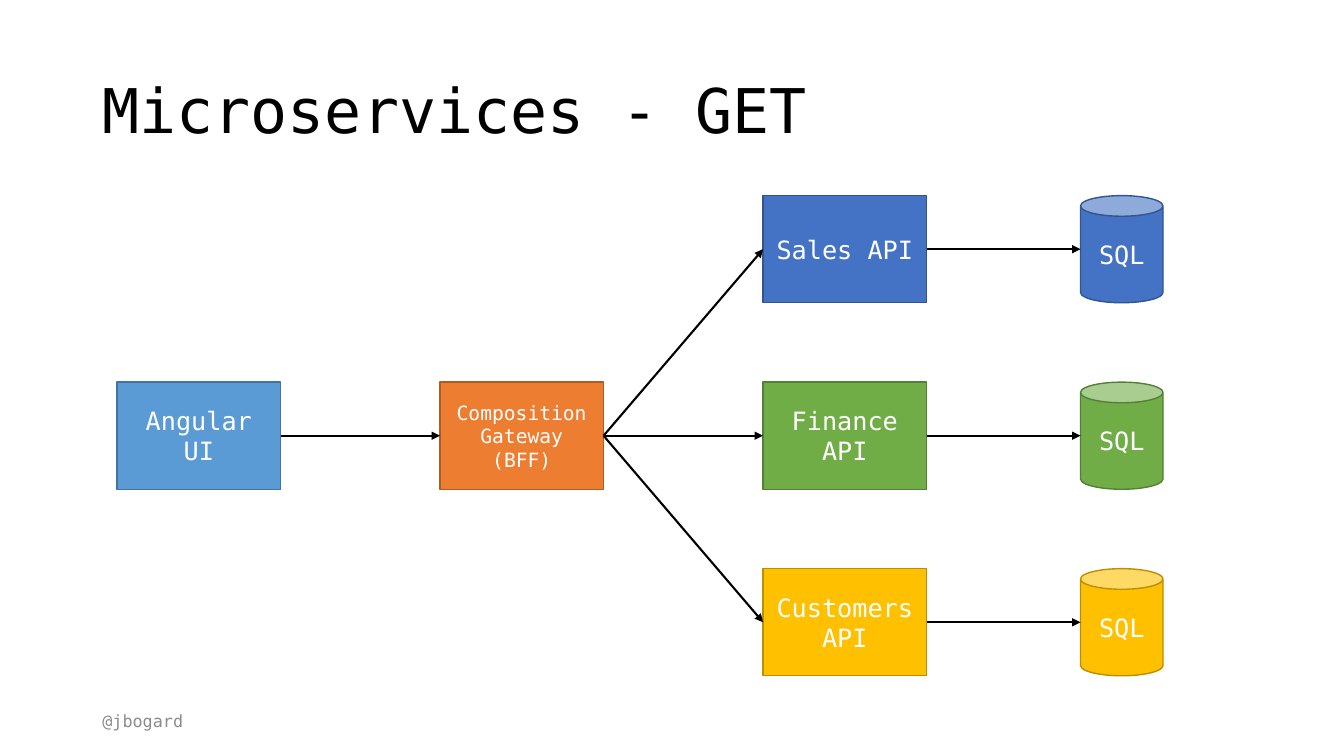
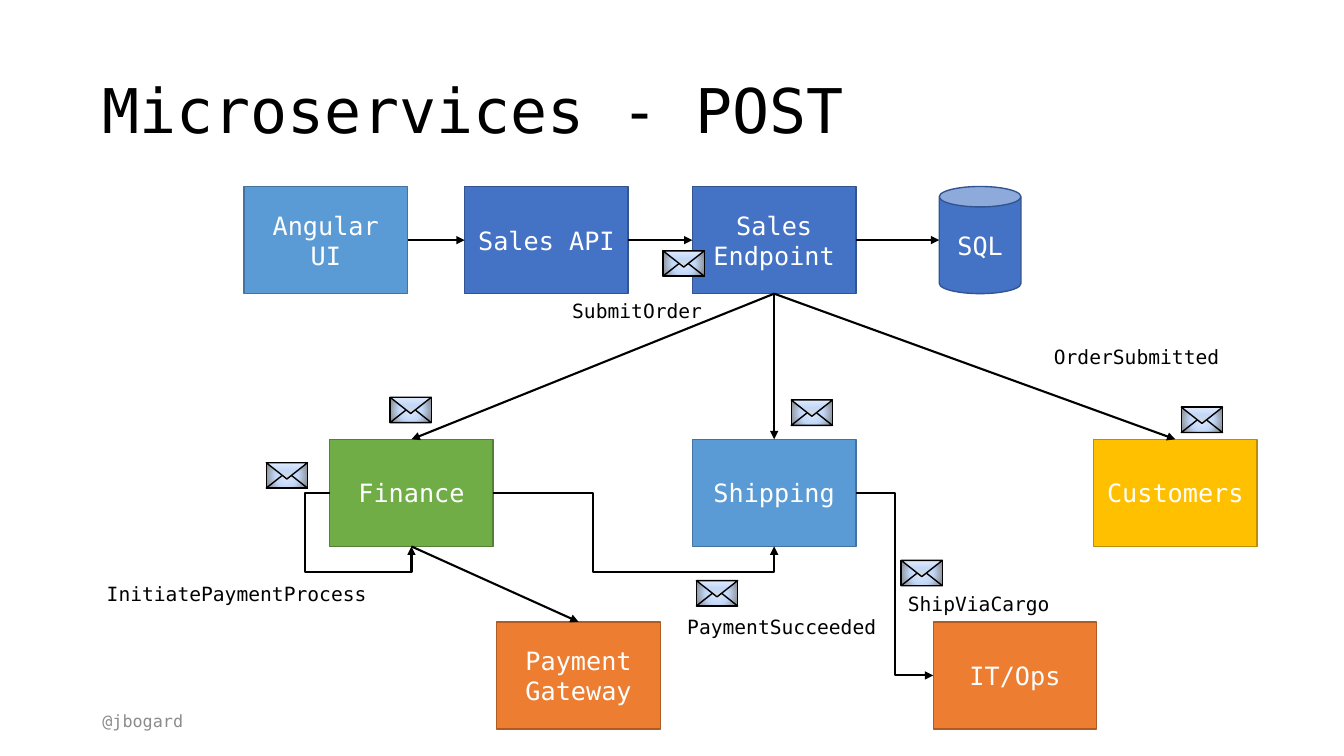
from lxml import etree
from pptx import Presentation
from pptx.dml.color import RGBColor
from pptx.enum import shapes, text
from pptx.oxml import parse_xml
from pptx.oxml.ns import nsdecls, qn
from pptx.util import Cm, Pt

FONT = "DejaVu Sans Mono"
BLACK = RGBColor(0x00, 0x00, 0x00)
WHITE = RGBColor(0xFF, 0xFF, 0xFF)
GREY = RGBColor(0x8C, 0x8C, 0x8C)
SKY = RGBColor(0x5B, 0x9B, 0xD5), RGBColor(0x43, 0x73, 0x9E)
BLUE = RGBColor(0x44, 0x72, 0xC4), RGBColor(0x32, 0x54, 0x91)
GREEN = RGBColor(0x70, 0xAD, 0x47), RGBColor(0x53, 0x80, 0x35)
GOLD = RGBColor(0xFF, 0xC0, 0x00), RGBColor(0xBD, 0x8E, 0x00)
RUST = RGBColor(0xED, 0x7D, 0x31), RGBColor(0xAF, 0x5C, 0x24)

RECT = shapes.MSO_SHAPE.RECTANGLE
CAN = shapes.MSO_SHAPE.CAN
PEAK = shapes.MSO_SHAPE.ISOSCELES_TRIANGLE
TOP, LEFT, BASE, RIGHT = range(4)
SIDES = [(0.5, 0), (0, 0.5), (0.5, 1), (1, 0.5)]
WIDE, HIGH = 4.12, 2.7

GRAD = (
    "<a:gradFill %s rotWithShape='1'><a:gsLst>"
    "<a:gs pos='0'><a:srgbClr val='E1EBFB'/></a:gs>"
    "<a:gs pos='48000'><a:srgbClr val='C2D8F8'/></a:gs>"
    "<a:gs pos='100000'><a:srgbClr val='%s'/></a:gs>"
    "</a:gsLst>%s</a:gradFill>"
)
ROUND = (
    "<a:path path='circle'>"
    "<a:fillToRect l='50000' t='50000' r='50000' b='50000'/></a:path>"
)
PARTS = [
    (RECT, 0, 0.64, 0, ("808080", ROUND)),
    (PEAK, 0.23, 0.41, 0, None),
    (PEAK, 0, 0.41, 180, ("D9D9D9", "<a:lin ang='16200000' scaled='0'/>")),
]


def box(page, kind, x, y, w, h, words, size=18, hue=None, ink=WHITE):
    place = Cm(x), Cm(y), Cm(w), Cm(h)
    if kind is None:
        item = page.shapes.add_textbox(*place)
    else:
        item = page.shapes.add_shape(kind, *place)
        item.shadow.inherit = False
        item.fill.solid()
        item.fill.fore_color.rgb, item.line.color.rgb = hue
        item.line.width = Pt(1)
    frame = item.text_frame
    frame.word_wrap = True
    frame.vertical_anchor = text.MSO_ANCHOR.MIDDLE
    para = frame.paragraphs[0]
    para.alignment = text.PP_ALIGN.CENTER if hue else text.PP_ALIGN.LEFT
    run = para.add_run()
    run.text = words
    run.font.name = FONT
    run.font.size = Pt(size)
    run.font.color.rgb = ink
    return item


def link(page, a, i, b, j, bends=()):
    ends = []
    for item, side in ((a, i), (b, j)):
        dx, dy = SIDES[side]
        ends += [int(item.left + dx * item.width), int(item.top + dy * item.height)]
    kind = shapes.MSO_CONNECTOR.ELBOW if bends else shapes.MSO_CONNECTOR.STRAIGHT
    line = page.shapes.add_connector(kind, *ends)
    line.begin_connect(a, i)
    if b.auto_shape_type == RECT:
        line.end_connect(b, j)
    line.line.color.rgb = BLACK
    line.line.width = Pt(1.5)
    props = line._element.spPr
    if bends:
        geom = props.find(qn("a:prstGeom"))
        geom.set("prst", f"bentConnector{len(bends) + 2}")
        for n, bend in enumerate(bends, 1):
            guide = etree.SubElement(geom.find(qn("a:avLst")), qn("a:gd"))
            guide.set("name", f"adj{n}" if len(bends) > 1 else "adj1")
            guide.set("fmla", f"val {bend}")
    etree.SubElement(props.find(qn("a:ln")), qn("a:tailEnd")).set("type", "triangle")
    etree.SubElement(props, qn("a:effectLst"))


deck = Presentation()
deck.slide_width, deck.slide_height = Cm(33.87), Cm(19.05)

pages = []
for words in ("Microservices - GET", "Microservices - POST"):
    page = deck.slides.add_slide(deck.slide_layouts[5])
    title = page.shapes.title
    title.left, title.top, title.width, title.height = Cm(2.33), Cm(1.01), Cm(29.21), Cm(3.68)
    title.text_frame.vertical_anchor = text.MSO_ANCHOR.MIDDLE
    para = title.text_frame.paragraphs[0]
    para.alignment = text.PP_ALIGN.LEFT
    para.line_spacing = 0.9
    run = para.add_run()
    run.text = words
    run.font.name = FONT
    run.font.size = Pt(44)
    run.font.color.rgb = BLACK
    box(page, None, 2.33, 17.66, 7.62, 1, "@jbogard", 12, ink=GREY)
    pages.append(page)
get, post = pages

cols = [2.95 + 8.14 * n for n in range(3)]
rows = [4.93 + 4.7 * n for n in range(3)]
front = box(get, RECT, cols[0], rows[1], WIDE, HIGH, "Angular UI", hue=SKY)
gate = box(get, RECT, cols[1], rows[1], WIDE, HIGH, "Composition Gateway (BFF)", 14, RUST)
link(get, front, RIGHT, gate, LEFT)
for y, words, hue in zip(rows, ("Sales API", "Finance API", "Customers API"), (BLUE, GREEN, GOLD)):
    api = box(get, RECT, cols[2], y, WIDE, HIGH, words, hue=hue)
    store = box(get, CAN, 27.23, y, 2.08, HIGH, "SQL", hue=hue)
    link(get, gate, RIGHT, api, LEFT)
    link(get, api, RIGHT, store, LEFT)

nodes = {}
for words, x, y, hue in (
    ("Angular UI", 6.15, 4.7, SKY),
    ("Sales API", 11.71, 4.7, BLUE),
    ("Sales Endpoint", 17.45, 4.7, BLUE),
    ("Finance", 8.31, 11.07, GREEN),
    ("Shipping", 17.45, 11.07, SKY),
    ("Customers", 27.56, 11.07, GOLD),
    ("Payment Gateway", 12.52, 15.67, RUST),
    ("IT/Ops", 23.52, 15.67, RUST),
):
    nodes[words] = box(post, RECT, x, y, WIDE, HIGH, words, hue=hue)
nodes["SQL"] = box(post, CAN, 23.67, 4.7, 2.06, HIGH, "SQL", hue=BLUE)

for a, i, b, j, bends in (
    ("Angular UI", RIGHT, "Sales API", LEFT, ()),
    ("Sales API", RIGHT, "Sales Endpoint", LEFT, ()),
    ("Sales Endpoint", RIGHT, "SQL", LEFT, ()),
    ("Sales Endpoint", BASE, "Finance", TOP, ()),
    ("Sales Endpoint", BASE, "Shipping", TOP, ()),
    ("Sales Endpoint", BASE, "Customers", TOP, ()),
    ("Finance", BASE, "Payment Gateway", TOP, ()),
    ("Finance", LEFT, "Finance", BASE, (-30800, 147100)),
    ("Finance", RIGHT, "Shipping", BASE, (35500, 147100)),
    ("Shipping", RIGHT, "IT/Ops", LEFT, (50000,)),
):
    link(post, nodes[a], i, nodes[b], j, bends)

for x, y in (
    (16.71, 6.32), (9.83, 10.01), (19.94, 10.08), (29.77, 10.26),
    (6.71, 11.66), (17.55, 14.63), (22.71, 14.12),
):
    mail = post.shapes.add_group_shape()
    for kind, drop, high, turn, grad in PARTS:
        part = mail.shapes.add_shape(kind, Cm(x), Cm(y + drop), Cm(1.04), Cm(high))
        part.rotation = turn
        part.shadow.inherit = False
        part.line.color.rgb = BLACK
        part.line.width = Pt(1)
        part.fill.background()
        if grad:
            props = part._element.spPr
            fill = parse_xml(GRAD % (nsdecls("a"), *grad))
            props.replace(props.find(qn("a:noFill")), fill)

for words, x, y, w in (
    ("SubmitOrder", 14.17, 7.39, 4.39),
    ("OrderSubmitted", 26.31, 8.56, 4.85),
    ("InitiatePaymentProcess", 2.44, 14.53, 7.49),
    ("PaymentSucceeded", 17.07, 15.37, 7.49),
    ("ShipViaCargo", 22.63, 14.78, 7.49),
):
    box(post, None, x, y, w, 0.86, words, 14, ink=BLACK)

deck.save("out.pptx")
